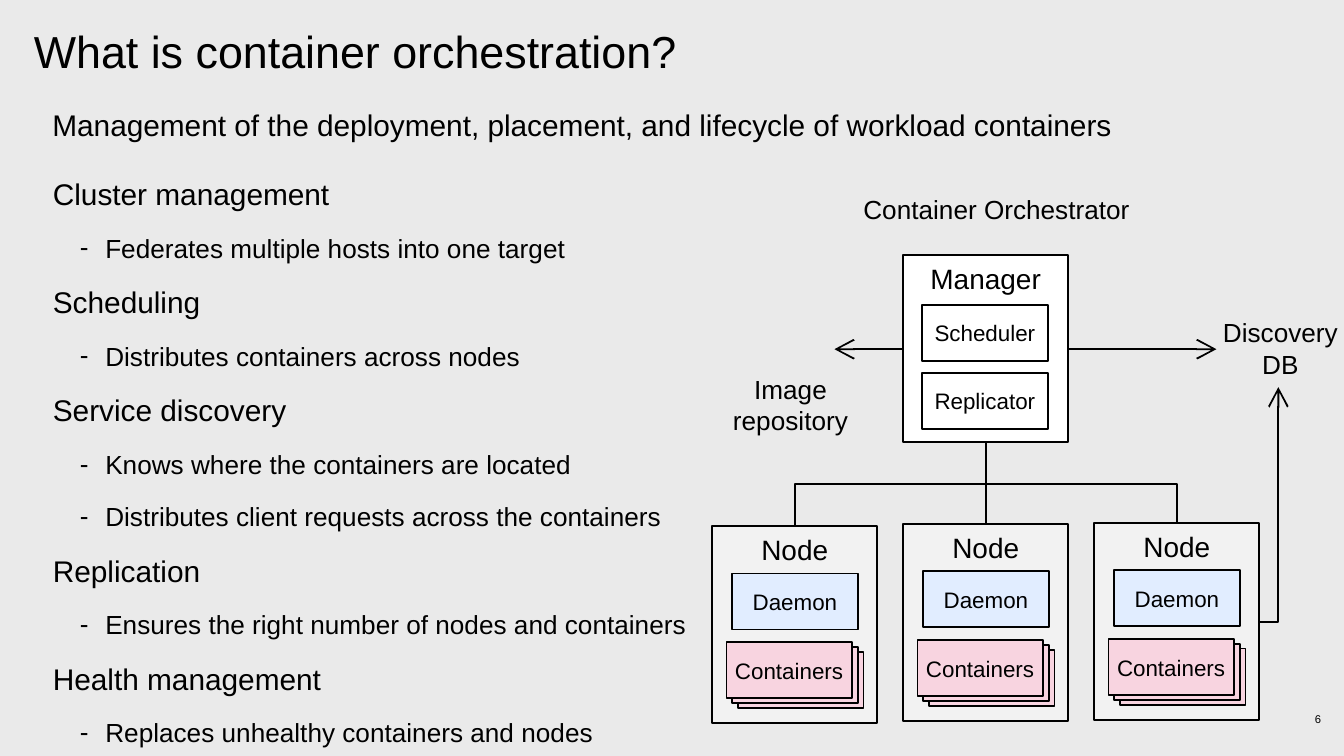
"""Build the slide that explains container orchestration."""
from typing import NamedTuple

from lxml.etree import SubElement
from pptx import Presentation
from pptx.dml.color import RGBColor
from pptx.enum.shapes import MSO_CONNECTOR as Link, MSO_SHAPE as Preset
from pptx.enum.text import MSO_ANCHOR as Anchor, MSO_AUTO_SIZE as Fit, PP_ALIGN as Align
from pptx.oxml.ns import qn
from pptx.util import Cm, Pt

BLACK, WHITE = "000000", "FFFFFF"
PAGE, NODE, DAEMON, CONTAINER = "EAEAEA", "F2F2F2", "E1EDFF", "F8D4E0"


class Area(NamedTuple):
    left: float
    top: float
    width: float
    height: float


class Point(NamedTuple):
    x: float
    y: float


class Topic(NamedTuple):
    heading: str
    details: tuple


class Label(NamedTuple):
    text: str
    area: Area
    size: float
    align: Align = Align.CENTER
    anchor: Anchor = Anchor.TOP


TOPICS = (
    Topic("Cluster management", ("Federates multiple hosts into one target",)),
    Topic("Scheduling", ("Distributes containers across nodes",)),
    Topic("Service discovery", ("Knows where the containers are located",
                                "Distributes client requests across the containers")),
    Topic("Replication", ("Ensures the right number of nodes and containers",)),
    Topic("Health management", ("Replaces unhealthy containers and nodes",)),
)
LABELS = (
    Label("6", Area(19.25, 13.41, 5.72, 0.38), 6, Align.RIGHT, Anchor.MIDDLE),
    Label("Image repository", Area(13.39, 7.06, 3.1, 0.94), 14),
    Label("Discovery\vDB", Area(22.65, 5.99, 3.1, 0.94), 14),
    Label("Management of the deployment, placement, and lifecycle of workload containers",
          Area(0.99, 2.01, 20.3, 1.37), 16, Align.LEFT),
)
MANAGER = Area(17.07, 4.82, 3.12, 3.53)
NODES = [Area(13.46 + 3.61 * column, top, 3.12, 3.73)
         for column, top in enumerate((9.94, 9.9, 9.88))]
PART = Point(2.37, 1.06)
BUS_Y = 9.15
ARROW_Y = 6.6


def color(value: str) -> RGBColor:
    return RGBColor.from_string(value)


def style(para, size: float, align: Align = Align.LEFT) -> None:
    para.alignment = align
    for span in para.runs:
        span.font.name = "Arial"
        span.font.size = Pt(size)
        span.font.color.rgb = color(BLACK)


def place(holder, area: Area):
    holder.left, holder.top, holder.width, holder.height = map(Cm, area)
    frame = holder.text_frame
    frame.margin_left = frame.margin_top = frame.margin_right = frame.margin_bottom = 0
    frame.word_wrap = True
    frame.auto_size = Fit.NONE
    frame.vertical_anchor = Anchor.TOP
    return frame


def set_bullet(para, margin: float = 0, hanging: float = 0, mark: str = "") -> None:
    props = para._p.get_or_add_pPr()
    props.set("marL", str(Cm(margin)))
    props.set("indent", str(Cm(-hanging)))
    if mark:
        SubElement(props, qn("a:buChar"), char=mark)
    else:
        SubElement(props, qn("a:buNone"))


def fill_topics(frame) -> None:
    lines = [(text, level) for topic in TOPICS
             for text, level in [(topic.heading, 0), *((detail, 1) for detail in topic.details)]]
    frame.text = "\n".join(text for text, _ in lines)
    for number, (para, (_, level)) in enumerate(zip(frame.paragraphs, lines)):
        para.level = level
        if level:
            set_bullet(para, 1.65, 0.48, "-")
        else:
            set_bullet(para, 0.66)
        para.space_before = Pt(11 if number else 0)
        style(para, 14 if level else 16)


def add_label(page, label: Label) -> None:
    box = page.shapes.add_textbox(*map(Cm, label.area))
    frame = place(box, label.area)
    frame.vertical_anchor = label.anchor
    frame.text = label.text
    style(frame.paragraphs[0], label.size, label.align)


def add_box(shapes, area: Area, fill: str, text: str = "", size: float = 12,
            anchor: Anchor = Anchor.MIDDLE) -> None:
    box = shapes.add_shape(Preset.RECTANGLE, *map(Cm, area))
    box.shadow.inherit = False
    box.fill.solid()
    box.fill.fore_color.rgb = color(fill)
    box.line.color.rgb = color(BLACK)
    box.line.width = Pt(1)
    if text:
        frame = box.text_frame
        frame.text = text
        frame.word_wrap = False
        frame.vertical_anchor = anchor
        style(frame.paragraphs[0], size, Align.CENTER)


def add_node(page, area: Area) -> None:
    add_box(page.shapes, area, NODE, "Node", 15, Anchor.TOP)
    add_box(page.shapes, Area(area.left + 0.38, area.top + 0.9, *PART), DAEMON, "Daemon")
    stack = page.shapes.add_group_shape().shapes
    for depth in (2, 1, 0):
        sheet = Area(area.left + 0.27 + 0.11 * depth, area.top + 2.2 + 0.09 * depth, *PART)
        add_box(stack, sheet, CONTAINER, "" if depth else "Containers")


def add_line(page, start: Point, end: Point, kind: Link = Link.STRAIGHT, arrow: bool = False):
    line = page.shapes.add_connector(kind, *map(Cm, (*start, *end)))
    line.line.color.rgb = color(BLACK)
    line.line.width = Pt(1)
    if arrow:
        SubElement(line.line._get_or_add_ln(), qn("a:tailEnd"), type="arrow", w="lg", len="lg")
    props = line._element.spPr
    SubElement(props, qn("a:effectLst"))
    return props


def add_branch(page, start: Point, end: Point) -> None:
    drop, side = end.y - start.y, 1 if end.x > start.x else -1
    middle = Point((start.x + end.x) / 2, (start.y + end.y) / 2)
    half = abs(end.x - start.x) / 2
    props = add_line(page, Point(middle.x + side * drop / 2, middle.y - half),
                     Point(middle.x - side * drop / 2, middle.y + half), Link.ELBOW)
    props.find(qn("a:xfrm")).set("rot", str((270 if side > 0 else 90) * 60000))
    bend = round((BUS_Y - start.y) / drop * 100000)
    guides = props.find(qn("a:prstGeom")).find(qn("a:avLst"))
    SubElement(guides, qn("a:gd"), name="adj1", fmla=f"val {bend}")


def main() -> None:
    deck = Presentation()
    deck.slide_width, deck.slide_height = Cm(25.4), Cm(14.29)
    page = deck.slides.add_slide(deck.slide_layouts[3])
    page.background.fill.solid()
    page.background.fill.fore_color.rgb = color(PAGE)

    title, topics, caption = page.placeholders
    frame = place(title, Area(0.64, 0.56, 19.76, 1.57))
    frame.text = "What is container orchestration?"
    frame.paragraphs[0].line_spacing = 0.9
    style(frame.paragraphs[0], 24)
    fill_topics(place(topics, Area(0.34, 3.32, 13.77, 10.59)))
    frame = place(caption, Area(14.07, 3.66, 9.53, 0.94))
    frame.text = "Container Orchestrator"
    set_bullet(frame.paragraphs[0])
    frame.paragraphs[0].space_before = Pt(0)
    style(frame.paragraphs[0], 14, Align.CENTER)

    add_box(page.shapes, MANAGER, WHITE, "Manager", 15, Anchor.TOP)
    for row, name in enumerate(("Scheduler", "Replicator")):
        add_box(page.shapes, Area(17.43, 5.76 + 1.29 * row, *PART), WHITE, name)
    for node in NODES:
        add_node(page, node)

    hub = Point(MANAGER.left + MANAGER.width / 2, MANAGER.top + MANAGER.height)
    left, centre, right = [Point(node.left + node.width / 2, node.top) for node in NODES]
    add_branch(page, hub, right)
    add_branch(page, hub, left)
    add_line(page, hub, centre)
    props = add_line(page, Point(23.8, 11.76), Point(24.16, 7.32), Link.ELBOW, True)
    props.find(qn("a:prstGeom")).set("prst", "bentConnector2")
    add_line(page, Point(MANAGER.left + MANAGER.width, ARROW_Y), Point(22.99, ARROW_Y), arrow=True)
    add_line(page, Point(MANAGER.left, ARROW_Y), Point(15.77, ARROW_Y), arrow=True)
    for label in LABELS:
        add_label(page, label)
    deck.save("out.pptx")


if __name__ == "__main__":
    main()
